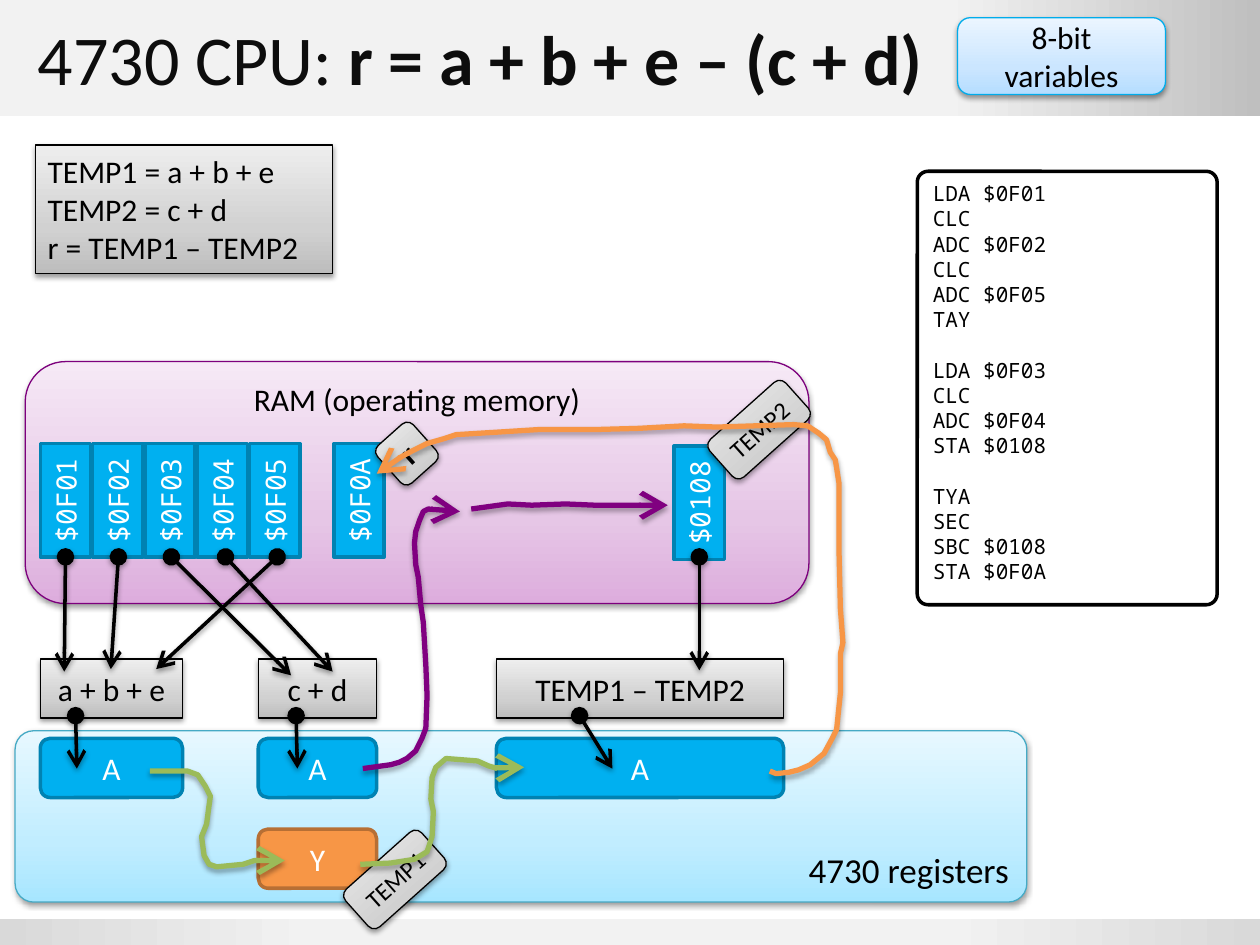
"""Build the slide on how a small CPU works out a formula with 8-bit variables."""
from lxml.etree import SubElement as Sub
from pptx import Presentation
from pptx.dml.color import RGBColor as Rgb
from pptx.enum.shapes import MSO_CONNECTOR as Conn, MSO_SHAPE as Kind
from pptx.enum.text import MSO_ANCHOR as Anchor, PP_ALIGN as Align
from pptx.oxml.ns import qn
from pptx.util import Cm, Pt

HUES = {
    "black": "000000", "white": "FFFFFF", "title": "0D0D0D",
    "blue": "00B0F0", "navy": "0082B2", "sky": "00ACEB", "teal": "46AAC5",
    "orange": "F79646", "rust": "B76F34", "green": "9BBB59",
    "purple": "800080", "plum": "7D007D",
}
FADES = {
    "gray": [(0, "BDBDBD"), (35, "D1D1D1"), (100, "EEEEEE")],
    "pale": [(0, "B5DDFF"), (35, "CBE6FF"), (100, "EBF5FF")],
    "aqua": [(0, "A7E6FF"), (35, "C1EDFF"), (100, "E7F8FF")],
    "pink": [(0, "DDADDD"), (35, "E6C6E6"), (100, "F6E9F6")],
    "top": [(75, "F2F2F2"), (100, "BFBFBF")],
    "foot": [(0, "D9D9D9"), (25, "F2F2F2"), (75, "F2F2F2"), (100, "D9D9D9")],
}
SANS, MONO = "Calibri", "Noto Sans Mono"
RECT, ROUND = Kind.RECTANGLE, Kind.ROUNDED_RECTANGLE
CHIP = "4730"


def inch(*nums):
    return [Cm(2.54 * num) for num in nums]


def hue(name):
    return Rgb.from_string(HUES[name])


def shade(item, alpha=0, dist=1.6):
    fx = Sub(item.element.spPr, qn("a:effectLst"))
    if alpha:
        drop = Sub(fx, qn("a:outerShdw"), blurRad=str(Pt(3.1)), dist=str(Pt(dist)),
                   dir="5400000", rotWithShape="0")
        ink = Sub(drop, qn("a:srgbClr"), val=HUES["black"])
        Sub(ink, qn("a:alpha"), val=str(alpha * 1000))


def fade(item, name, angle):
    item.fill.gradient()
    item.fill.gradient_angle = angle
    stops = next(item.element.spPr.iter(qn("a:gsLst")))
    for stop in list(stops):
        stops.remove(stop)
    for pos, val in FADES[name]:
        Sub(Sub(stops, qn("a:gs"), pos=str(pos * 1000)), qn("a:srgbClr"), val=val)


def style(frame, size, ink, font=SANS, align=Align.CENTER, bold=None):
    for para in frame.paragraphs:
        para.alignment = align
        for run in para.runs:
            run.font.size, run.font.name, run.font.bold = Pt(size), font, bold
            run.font.color.rgb = hue(ink)


def block(slide, at, fill, line=None, text="", kind=RECT, width=0.75, size=18,
          ink="black", font=SANS, align=Align.CENTER, anchor=Anchor.MIDDLE,
          adj=None, turn=0, angle=90, bold=None):
    item = slide.shapes.add_shape(kind, *inch(*at))
    item.rotation = turn
    if adj:
        item.adjustments[0] = adj
    if fill in FADES:
        fade(item, fill, angle)
    else:
        item.fill.solid()
        item.fill.fore_color.rgb = hue(fill)
    if line:
        item.line.color.rgb, item.line.width = hue(line), Pt(width)
    else:
        item.line.fill.background()
    shade(item, 38 if fill in FADES and line else 0)
    if text:
        item.text_frame.text = text
        item.text_frame.vertical_anchor = anchor
        style(item.text_frame, size, ink, font, align, bold)
    return item


def tips(item, **ends):
    ln = item.element.spPr.find(qn("a:ln"))
    for end, kind in ends.items():
        Sub(ln, qn("a:" + end), type=kind, w="lg", len="lg")


def link(slide, x1, y1, x2, y2):
    item = slide.shapes.add_connector(Conn.STRAIGHT, *inch(x1, y1, x2, y2))
    item.line.color.rgb, item.line.width = hue("black"), Pt(2)
    tips(item, headEnd="oval", tailEnd="arrow")
    shade(item, 38)


def trail(slide, x, y, ink, dots):
    spots = [inch(x + dx, y + dy) for dx, dy in dots]
    pen = slide.shapes.build_freeform(*spots[0])
    pen.add_line_segments(spots[1:], close=False)
    item = pen.convert_to_shape()
    item.fill.background()
    item.line.color.rgb, item.line.width = hue(ink), Pt(3)
    tips(item, tailEnd="arrow")
    shade(item, 35, 1.8)


def cell(slide, x, y, text):
    block(slide, (x - 0.25, y + 0.25, 0.9, 0.4), "blue", "navy", text, width=2,
          size=16, ink="white", font=MONO, turn=270)


def tag(slide, x, y, w, text, size=14, bold=None):
    block(slide, (x, y, w, 0.4), "gray", "black", text, ROUND, size=size,
          turn=318.2, bold=bold)


def head(slide, x, y, w, h):
    block(slide, (x, y, w, h), "top", angle=0)
    block(slide, (x, 7.29, w, 0.21), "foot", angle=0)
    title = slide.shapes.title
    title.left, title.top, title.width, title.height = inch(x + 0.2, y, 9.61, h)
    frame = title.text_frame
    frame.text = f"{CHIP} CPU:"
    frame.paragraphs[0].add_run().text = " r = a + b + e – (c + d)"
    frame.vertical_anchor = Anchor.MIDDLE
    style(frame, 40, "title", align=Align.LEFT)
    frame.paragraphs[0].runs[1].font.bold = True
    title.element.getparent().append(title.element)
    block(slide, (x + 7.6, y + 0.14, 1.65, 0.61), "pale", "sky", "8-bit variables", ROUND)


def plan(slide, x, y, w, h):
    text = "TEMP1 = a + b + e\nTEMP2 = c + d\nr = TEMP1 – TEMP2"
    block(slide, (x, y, w, h), "gray", "black", text, align=Align.LEFT)


def code(slide, x, y, w, h):
    parts = ["LDA $0F01\nCLC\nADC $0F02\nCLC\nADC $0F05\nTAY",
             "LDA $0F03\nCLC\nADC $0F04\nSTA $0108",
             "TYA\nSEC\nSBC $0108\nSTA $0F0A"]
    item = block(slide, (x, y, w, h), "white", "black", "\n".join(parts), ROUND, 2, 12,
                 font=MONO, align=Align.LEFT, anchor=Anchor.TOP, adj=0.036)
    for para in item.text_frame.paragraphs:
        para.line_spacing = Pt(14.4)
        if para.text in ("LDA $0F03", "TYA"):
            para.space_before = Pt(14.4)


def regs(slide, x, y, w, h):
    block(slide, (x, y, w, h), "aqua", "teal", f"{CHIP} registers", ROUND, size=20,
          align=Align.RIGHT, anchor=Anchor.BOTTOM, adj=0.108)
    sums = [(0.2, 1.13, "a + b + e", 0.48, 0.49), (1.93, 0.94, "c + d", 2.23, 2.24),
            (3.82, 2.28, "TEMP1 – TEMP2", 4.48, 4.74)]
    for dx, wide, text, _, _ in sums:
        block(slide, (x + dx, y - 0.57, wide, 0.47), "gray", "black", text)
        block(slide, (x + dx, y + 0.06, wide, 0.47), "blue", "navy", "A", ROUND, 2,
              ink="white")
    block(slide, (x + 1.93, y + 0.78, 0.94, 0.47), "orange", "rust", "Y", ROUND, 2,
          ink="white")
    for _, _, _, start, end in sums:
        link(slide, x + start, y - 0.12, x + end, y + 0.3)
    trail(slide, x, y, "green", [
        (1.07, 0.32), (1.37, 0.32), (1.45, 0.35), (1.51, 0.44), (1.55, 0.52), (1.54, 0.59),
        (1.52, 0.74), (1.48, 0.84), (1.5, 0.99), (1.54, 1.06), (1.6, 1.08), (1.81, 1.06),
        (1.9, 1.03), (2.14, 1.03)])


def ram(slide, x, y, w, h):
    block(slide, (x, y, w, h), "pink", "plum", "RAM (operating memory)", ROUND,
          anchor=Anchor.TOP)
    trail(slide, x, y, "purple", [
        (3.54, 1.17), (3.83, 1.13), (4.02, 1.14), (4.29, 1.13), (4.52, 1.14),
        (4.62, 1.14), (5.1, 1.14)])
    for num in range(5):
        cell(slide, x + 0.12 + 0.415 * num, y + 0.65, f"$0F0{num + 1}")
    cell(slide, x + 5.15, y + 0.67, "$0108")
    for start, dx, dy in [(0.32, 0.31, 2.46), (0.74, 0.68, 2.44), (1.16, 2.11, 2.49),
                          (1.59, 2.44, 2.46), (2, 1.04, 2.44), (5.35, 5.35, 2.45)]:
        link(slide, x + start, y + 1.55, x + dx, y + dy)


def flow(slide, x, y):
    trail(slide, x, y, "purple", [
        (2.88, 6.1), (3.1, 6.07), (3.17, 6.05), (3.23, 6.02), (3.3, 5.96), (3.35, 5.86),
        (3.38, 5.78), (3.39, 5.52), (3.38, 5.28), (3.36, 4.94), (3.34, 4.8), (3.32, 4.58),
        (3.3, 4.48), (3.29, 4.31), (3.3, 4.22), (3.33, 4.13), (3.36, 4.06), (3.4, 4.04),
        (3.52, 4.05), (3.65, 4.06)])
    cell(slide, x + 2.65, y + 3.52, "$0F0A")
    tag(slide, x + 2.73, y + 6.78, 0.81, "TEMP1")
    trail(slide, x, y, "green", [
        (2.86, 6.86), (3.1, 6.85), (3.29, 6.82), (3.39, 6.76), (3.43, 6.64), (3.44, 6.44),
        (3.42, 6.34), (3.43, 6.17), (3.46, 6.09), (3.54, 6.02), (3.79, 6.04), (3.88, 6.08),
        (3.95, 6.1), (4.16, 6.09)])
    tag(slide, x + 5.62, y + 3.21, 0.81, "TEMP2")
    tag(slide, x + 3.04, y + 3.4, 0.38, "r", 18, True)
    trail(slide, x, y, "orange", [
        (6.11, 6.12), (6.16, 6.14), (6.26, 6.13), (6.34, 6.11), (6.43, 6.07), (6.54, 5.98),
        (6.6, 5.87), (6.64, 5.79), (6.67, 5.5), (6.67, 5.19), (6.69, 5.1), (6.67, 4.83),
        (6.66, 4.4), (6.66, 3.84), (6.63, 3.65), (6.59, 3.59), (6.56, 3.49), (6.5, 3.44),
        (6.41, 3.38), (6.3, 3.37), (5.69, 3.39), (5.43, 3.38), (5.07, 3.4), (4.71, 3.41),
        (4.27, 3.41), (3.95, 3.43), (3.62, 3.45), (3.53, 3.48), (3.39, 3.52), (3.27, 3.58),
        (3.16, 3.64), (3.1, 3.69), (2.99, 3.76)])


def main():
    deck = Presentation()
    deck.slide_width, deck.slide_height = inch(10, 7.5)
    slide = deck.slides.add_slide(deck.slide_layouts[5])
    head(slide, 0, 0, 10, 0.92)
    plan(slide, 0.28, 1.15, 2.36, 1.02)
    code(slide, 7.28, 1.36, 2.38, 3.44)
    regs(slide, 0.12, 5.8, 8.03, 1.36)
    ram(slide, 0.2, 2.87, 6.22, 1.92)
    flow(slide, 0, 0)
    deck.save("out.pptx")


main()
